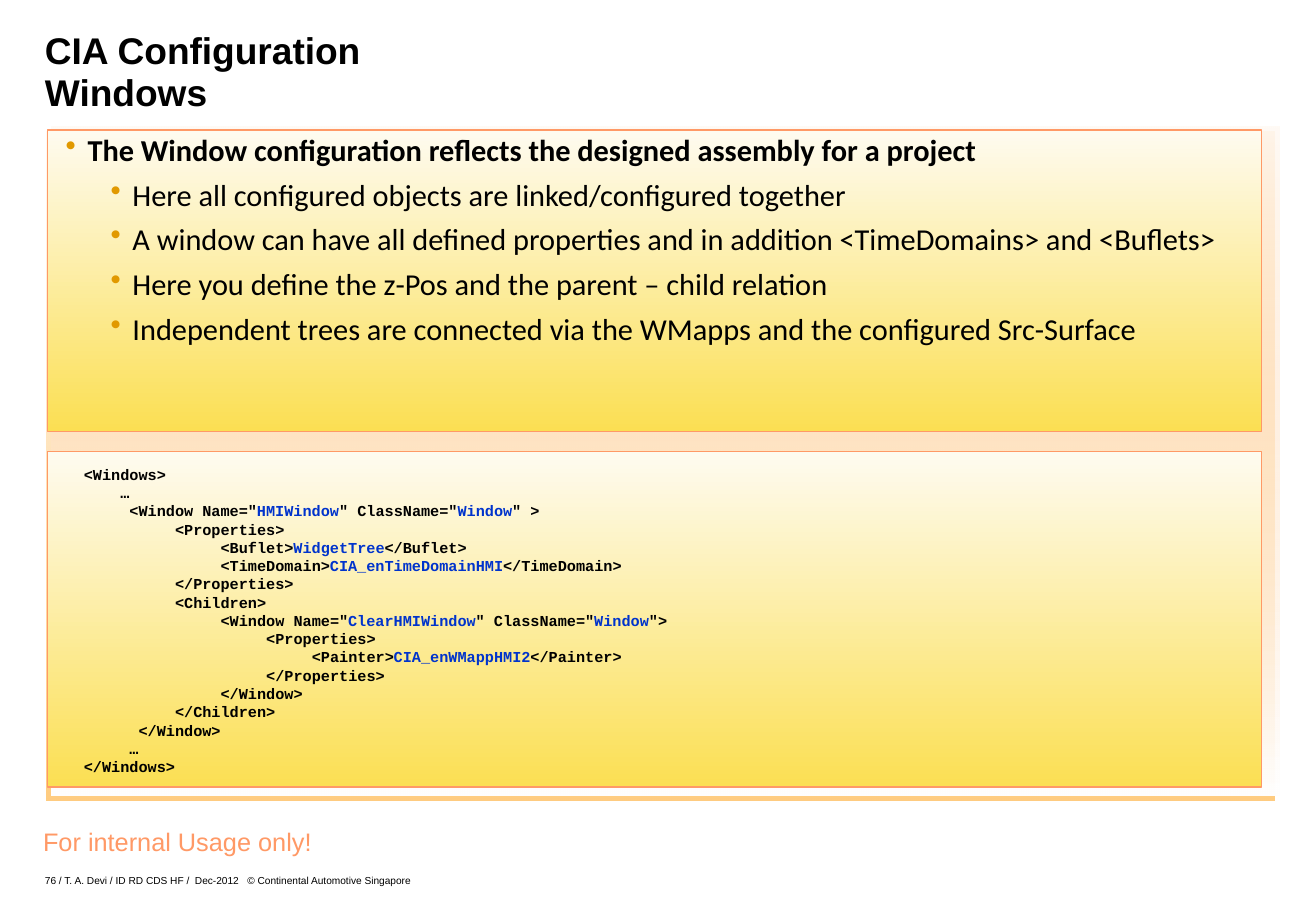
import dataclasses

import lxml.etree
import pptx
import pptx.dml.color
import pptx.enum.shapes
import pptx.enum.text
import pptx.oxml.ns
import pptx.slide
import pptx.text.text
import pptx.util

Inches = pptx.util.Inches
Pt = pptx.util.Pt
ALIGN = pptx.enum.text.PP_ALIGN
ANCHOR = pptx.enum.text.MSO_ANCHOR

COLORS = {
    "black": "000000", "blue": "0033CC", "salmon": "FF9966", "bullet": "E19900",
    "cream": "FEFBF0", "yellow": "FBDF53", "peach": "FFCC99", "white": "FFFFFF",
    "orange": "FF9900",
}

Box = tuple[float, float, float, float]


@dataclasses.dataclass(frozen=True)
class Panel:
    box: Box
    top: str
    bottom: str
    line: str | None = None
    top_opacity: int = 100
    shadow: str | None = None


@dataclasses.dataclass(frozen=True)
class Line:
    text: str
    indent: float | None = None
    bold: bool = False


@dataclasses.dataclass(frozen=True)
class TextBlock:
    box: Box
    lines: list[Line]
    font: dict
    color: str = "black"
    frame: dict = dataclasses.field(default_factory=dict)
    paragraph: dict = dataclasses.field(default_factory=dict)


NO_MARGINS = dict.fromkeys(
    ("margin_left", "margin_top", "margin_right", "margin_bottom"), 0)
BULLET_HANG = 0.18

BACKDROP = Panel((0.42, 1.04, 10.11, 5.51), "peach", "white",
                 top_opacity=10, shadow="orange")
CODE_PANEL = Panel((0.39, 3.72, 9.99, 2.76), "cream", "yellow", line="salmon")
BULLET_PANEL = Panel((0.39, 1.07, 9.99, 2.48), "cream", "yellow", line="salmon")

CODE = """<Windows>
    …
     <Window Name="|HMIWindow|" ClassName="|Window|" >
          <Properties>
               <Buflet>|WidgetTree|</Buflet>
               <TimeDomain>|CIA_enTimeDomainHMI|</TimeDomain>
          </Properties>
          <Children>
               <Window Name="|ClearHMIWindow|" ClassName="|Window|">
                    <Properties>
                         <Painter>|CIA_enWMappHMI2|</Painter>
                    </Properties>
               </Window>
          </Children>
      </Window>
     …
</Windows>"""

BULLETS = [
    Line("The Window configuration reflects the designed assembly for a project",
         BULLET_HANG, True),
    Line("Here all configured objects are linked/configured together", 0.55),
    Line("A window can have all defined properties and in addition "
         "<TimeDomains> and <Buflets>", 0.55),
    Line("Here you define the z-Pos and the parent – child relation", 0.55),
    Line("Independent trees are connected via the WMapps and the configured "
         "Src-Surface", 0.55),
]

USAGE = TextBlock((0.25, 6.75, 2.42, 0.35), [Line("For internal Usage only!")],
                  {"name": "Arial", "size": Pt(15)}, "salmon",
                  {"word_wrap": False}, {"alignment": ALIGN.CENTER})
TITLE = TextBlock((0.37, 0.25, 10.1, 0.69),
                  [Line("CIA Configuration\vWindows", bold=True)],
                  {"name": "Arial", "size": Pt(22)},
                  frame={**NO_MARGINS, "vertical_anchor": ANCHOR.BOTTOM},
                  paragraph={"line_spacing": Pt(24.8)})
LISTING = TextBlock((0.6, 3.78, 9.7, 2.7),
                    [Line(text, bold=True) for text in CODE.splitlines()],
                    {"name": "Courier New", "size": Pt(9)},
                    frame={"margin_left": Inches(0.09), "margin_right": Inches(0.09)})
BODY = TextBlock((0.54, 1.15, 9.72, 1.75), BULLETS,
                 {"name": "Calibri", "size": Pt(18)}, frame=NO_MARGINS,
                 paragraph={"line_spacing": Pt(16.5), "space_after": Pt(10)})
FOOTER = TextBlock((0.37, 7.14, 3.43, 0.16),
                   [Line("76 / T. A. Devi / ID RD CDS HF /  Dec-2012   "
                         "© Continental Automotive Singapore")],
                   {"name": "Arial", "size": Pt(6)},
                   frame={**NO_MARGINS, "vertical_anchor": ANCHOR.BOTTOM},
                   paragraph={"line_spacing": Pt(5.5)})


def rgb(name: str) -> pptx.dml.color.RGBColor:
    return pptx.dml.color.RGBColor.from_string(COLORS[name])


def add_xml(parent: lxml.etree._Element, tag: str, **attrs: str) -> lxml.etree._Element:
    return lxml.etree.SubElement(parent, pptx.oxml.ns.qn(tag), attrs)


def set_all(target: object, values: dict) -> None:
    for name, value in values.items():
        setattr(target, name, value)


def draw_panel(s: pptx.slide.Slide, panel: Panel) -> None:
    sp = s.shapes.add_shape(pptx.enum.shapes.MSO_SHAPE.RECTANGLE,
                            *map(Inches, panel.box))
    sp.fill.gradient()
    sp.fill.gradient_angle = 270
    for stop, color, position in zip(sp.fill.gradient_stops,
                                     (panel.top, panel.bottom), (0, 1)):
        stop.color.rgb = rgb(color)
        stop.position = position
    if panel.top_opacity < 100:
        first = next(sp._element.spPr.iter(pptx.oxml.ns.qn("a:srgbClr")))
        add_xml(first, "a:alpha", val=str(panel.top_opacity * 1000))
    if panel.line:
        sp.line.color.rgb = rgb(panel.line)
        sp.line.width = Pt(0.75)
    else:
        sp.line.fill.background()
    sp.shadow.inherit = False
    if panel.shadow:
        effects = sp._element.spPr.find(pptx.oxml.ns.qn("a:effectLst"))
        shadow = add_xml(effects, "a:outerShdw", dist=str(Pt(4.2)),
                         dir=str(135 * 60000), algn="ctr", rotWithShape="0")
        color = add_xml(shadow, "a:srgbClr", val=COLORS[panel.shadow])
        add_xml(color, "a:alpha", val="50000")


def add_bullet(p: pptx.text.text._Paragraph, indent: float) -> None:
    pPr = p._p.get_or_add_pPr()
    pPr.set("marL", str(Inches(indent)))
    pPr.set("indent", str(-Inches(BULLET_HANG)))
    add_xml(add_xml(pPr, "a:buClr"), "a:srgbClr", val=COLORS["bullet"])
    add_xml(pPr, "a:buChar", char="•")


def draw_text(s: pptx.slide.Slide, block: TextBlock) -> None:
    tf = s.shapes.add_textbox(*map(Inches, block.box)).text_frame
    set_all(tf, {"word_wrap": True, **block.frame})
    for i, line in enumerate(block.lines):
        p = tf.add_paragraph() if i else tf.paragraphs[0]
        if line.indent is not None:
            add_bullet(p, line.indent)
        set_all(p, block.paragraph)
        for j, row in enumerate(line.text.split("\v")):
            if j:
                p.add_line_break()
            for k, part in enumerate(row.split("|")):
                r = p.add_run()
                r.text = part
                set_all(r.font, {**block.font, "bold": line.bold})
                r.font.color.rgb = rgb("blue" if k % 2 else block.color)


def main() -> None:
    prs = pptx.Presentation()
    prs.slide_width, prs.slide_height = Inches(10.83), Inches(7.5)
    s = prs.slides.add_slide(prs.slide_layouts[6])
    for panel in (BACKDROP, CODE_PANEL, BULLET_PANEL):
        draw_panel(s, panel)
    for block in (USAGE, TITLE, LISTING, BODY, FOOTER):
        draw_text(s, block)
    prs.save("out.pptx")


if __name__ == "__main__":
    main()
